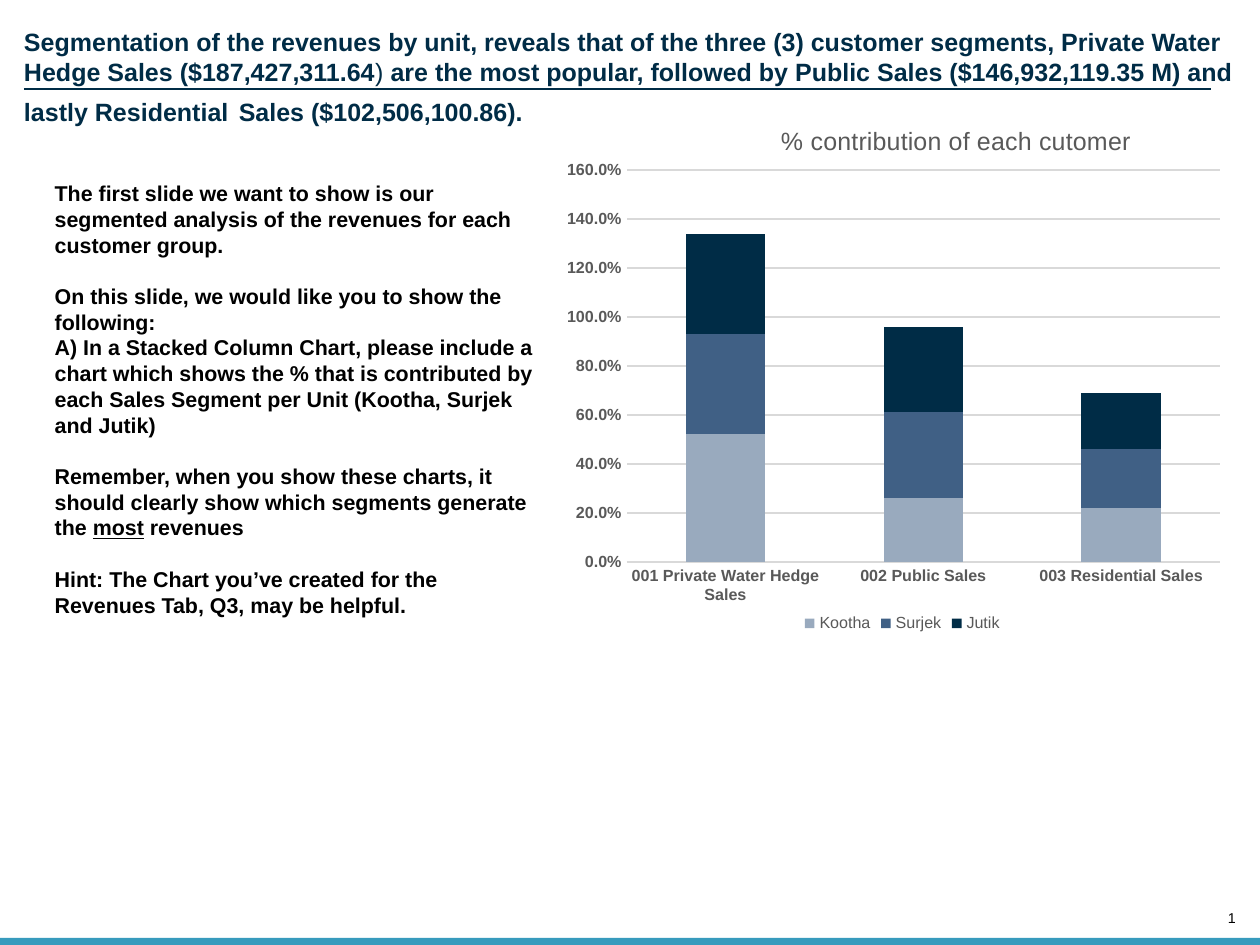
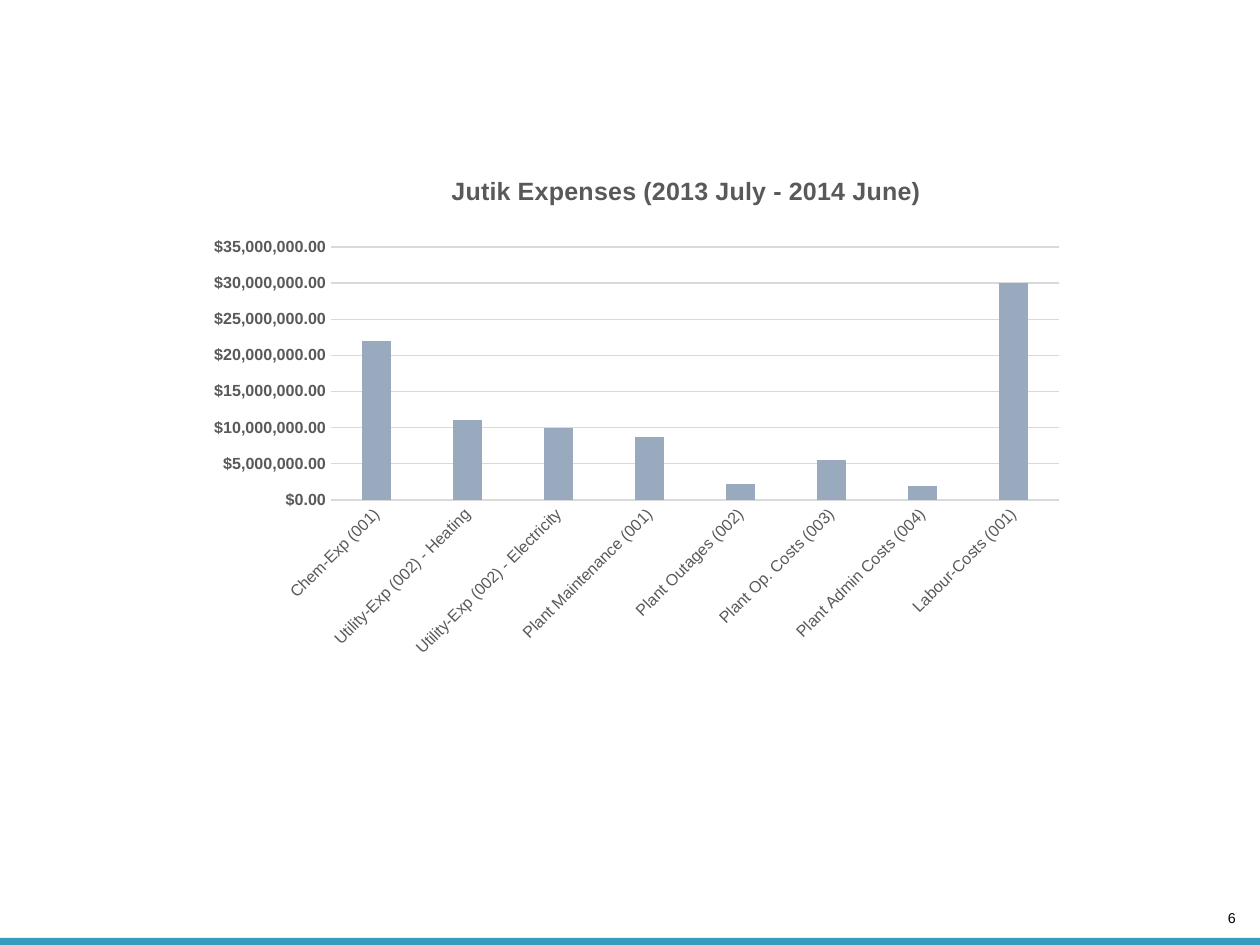
from dataclasses import dataclass
from lxml.etree import SubElement
from pptx import Presentation
from pptx.chart.data import CategoryChartData
from pptx.dml.color import RGBColor
from pptx.enum.chart import XL_CHART_TYPE, XL_LEGEND_POSITION, XL_TICK_MARK
from pptx.enum.shapes import MSO_CONNECTOR, MSO_SHAPE
from pptx.enum.text import MSO_ANCHOR, MSO_AUTO_SIZE, PP_ALIGN
from pptx.oxml.ns import qn
from pptx.util import Pt

PX = 7112
WIDTH, HEIGHT = 1260, 945
MILLION = 1000000


@dataclass(frozen=True)
class Theme:
    font: str = "Arial"
    navy: str = "002C46"
    steel: str = "406085"
    mist: str = "99AABE"
    band: str = "379BBD"
    ink: str = "000000"
    label: str = "595959"
    grid: str = "D9D9D9"
    heading: int = 14
    gap: int = 20
    body: int = 12
    axis: int = 9
    number: int = 8
    para_gap: float = 14.4


def rgb(color):
    return RGBColor.from_string(color)


def px(*lengths):
    return [n * PX for n in lengths]


def style(font, name, size, color, bold=False, underline=None):
    font.name, font.size, font.bold = name, Pt(size), bold
    font.color.rgb = rgb(color)
    if underline:
        font.underline = True


def add_run(p, text, **fmt):
    r = p.add_run()
    r.text = text
    style(r.font, **fmt)


def set_layout(parent, index, place, size, inner=False):
    old = parent.find(qn("c:layout"))
    if old is not None:
        parent.remove(old)
    layout = parent.makeelement(qn("c:layout"))
    parent.insert(index, layout)
    manual = SubElement(layout, qn("c:manualLayout"))
    if inner:
        SubElement(manual, qn("c:layoutTarget")).set("val", "inner")
    for key in "xy":
        SubElement(manual, qn(f"c:{key}Mode")).set("val", "edge")
    for key, length, whole in zip("xywh", place, size * 2):
        SubElement(manual, qn(f"c:{key}")).set("val", str(length / whole))


class Deck:
    def __init__(self, theme):
        self.t = theme
        self.prs = Presentation()
        self.prs.slide_width, self.prs.slide_height = px(WIDTH, HEIGHT)

    def slide(self, number, titled=False):
        layout = "Title Only" if titled else "Blank"
        self.s = self.prs.slides.add_slide(self.prs.slide_layouts.get_by_name(layout))
        self.band(0, 938, WIDTH, HEIGHT - 938)
        self.number(number, 1219, 909, 17, 17)

    def frame(self, sp, inset=True, anchor=MSO_ANCHOR.TOP, wrap=True):
        tf = sp.text_frame
        tf.auto_size = MSO_AUTO_SIZE.NONE
        tf.word_wrap, tf.vertical_anchor = wrap, anchor
        if not inset:
            tf.margin_left = tf.margin_right = tf.margin_top = tf.margin_bottom = 0
        return tf

    def band(self, *box):
        sp = self.s.shapes.add_shape(MSO_SHAPE.RECTANGLE, *px(*box))
        sp.shadow.inherit = False
        sp.fill.solid()
        sp.fill.fore_color.rgb = rgb(self.t.band)
        sp.line.fill.background()

    def number(self, text, *box):
        sp = self.s.shapes.add_textbox(*px(*box))
        p = self.frame(sp, False, MSO_ANCHOR.BOTTOM, False).paragraphs[0]
        p.alignment = PP_ALIGN.RIGHT
        add_run(p, text, name=self.t.font, size=self.t.number, color=self.t.ink)

    def title(self, runs, *box):
        sp = self.s.shapes.title
        sp.left, sp.top, sp.width, sp.height = px(*box)
        p = self.frame(sp, False).paragraphs[0]
        p.alignment = PP_ALIGN.LEFT
        for text, bold, size in runs:
            add_run(p, text, name=self.t.font, size=size, color=self.t.navy, bold=bold)

    def rule(self, x1, y1, x2, y2):
        line = self.s.shapes.add_connector(MSO_CONNECTOR.STRAIGHT, *px(x1, y1, x2, y2))
        line.line.color.rgb = rgb(self.t.navy)
        line.line.width = Pt(0.75)
        SubElement(line._element.spPr, qn("a:effectLst"))

    def notes(self, paragraphs, *box):
        tf = self.frame(self.s.shapes.add_textbox(*px(*box)))
        for i, (before, runs) in enumerate(paragraphs):
            p = tf.add_paragraph() if i else tf.paragraphs[0]
            p.space_before = Pt(before)
            for text, underline in runs:
                add_run(p, text, name=self.t.font, size=self.t.body, color=self.t.ink,
                        bold=True, underline=underline)

    def axis(self, axis, bold):
        axis.major_tick_mark = axis.minor_tick_mark = XL_TICK_MARK.NONE
        style(axis.tick_labels.font, self.t.font, self.t.axis, self.t.label, bold)

    def hairline(self, line):
        line.color.rgb = rgb(self.t.grid)
        line.width = Pt(0.75)

    def chart(self, kind, box, cats, series, title, title_at, plot_at, top, step, fmt,
              gap, overlap, bold_title=False, bold_cats=False, legend=False, turn=0):
        data = CategoryChartData()
        data.categories = cats
        for name, values, _ in series:
            data.add_series(name, values)
        chart = self.s.shapes.add_chart(kind, *px(*box), data).chart
        style(chart.font, self.t.font, 10, self.t.ink)

        chart.has_title = True
        p = chart.chart_title.text_frame.paragraphs[0]
        add_run(p, title, name=self.t.font, size=self.t.heading, color=self.t.label, bold=bold_title)
        set_layout(chart.chart_title._element, 1, title_at, box[2:])
        set_layout(chart._chartSpace.chart.plotArea, 0, plot_at, box[2:], inner=True)

        chart.has_legend = legend
        if legend:
            chart.legend.position = XL_LEGEND_POSITION.BOTTOM
            chart.legend.include_in_layout = False
            style(chart.legend.font, self.t.font, self.t.axis, self.t.label)

        cat, val = chart.category_axis, chart.value_axis
        self.axis(cat, bold_cats)
        self.axis(val, True)
        self.hairline(cat.format.line)
        self.hairline(val.major_gridlines.format.line)
        val.format.line.fill.background()
        val.minimum_scale, val.maximum_scale, val.major_unit = 0, top, step
        val.tick_labels.number_format = fmt
        val.tick_labels.number_format_is_linked = False
        if turn:
            body = cat._element.find(qn("c:txPr")).find(qn("a:bodyPr"))
            body.set("rot", str(turn * 60000))
            body.set("vert", "horz")

        plot = chart.plots[0]
        plot.gap_width, plot.overlap, plot.vary_by_categories = gap, overlap, False
        for ser, (_, _, color) in zip(plot.series, series):
            ser.format.fill.solid()
            ser.format.fill.fore_color.rgb = rgb(color)
            ser.invert_if_negative = False


t = Theme()
deck = Deck(t)

deck.slide("1", titled=True)
deck.title([
    ("Segmentation of the revenues by unit, reveals that of the three (3) customer segments, "
     "Private Water Hedge\u00a0Sales ($187,427,311.64", True, t.heading),
    (")", False, t.heading),
    (" are the most popular, followed by Public Sales ($146,932,119.35 M) and lastly Residential",
     True, t.heading),
    (" ", True, t.gap),
    ("Sales ($102,506,100.86).", True, t.heading),
], 24, 26, 1229, 104)
deck.rule(24, 89, 1211, 89)
deck.notes([
    (0, [("The first slide we want to show is our segmented analysis of the revenues "
          "for each customer group.", False)]),
    (t.para_gap, [("On this slide, we would like you to show the following:", False)]),
    (0, [("A) In a Stacked Column Chart, please include a chart which shows the % that is "
          "contributed by each Sales Segment per Unit (Kootha, Surjek and Jutik)", False)]),
    (t.para_gap, [("Remember, when you show these charts, it should clearly show which segments "
                   "generate the ", False), ("most", True), (" revenues", False)]),
    (t.para_gap, [("Hint: The Chart you\u2019ve created for the Revenues Tab, Q3, may be helpful.",
                   False)]),
], 42, 174, 510, 481)
deck.chart(
    XL_CHART_TYPE.COLUMN_STACKED, (567, 117, 670, 521),
    ["001 Private Water Hedge Sales", "002 Public Sales", "003 Residential Sales"],
    [("Kootha", (0.52, 0.26, 0.22), t.mist),
     ("Surjek", (0.41, 0.35, 0.24), t.steel),
     ("Jutik", (0.41, 0.35, 0.23), t.navy)],
    "% contribution of each cutomer", (209, 3), (59, 53, 594, 392),
    top=1.6, step=0.2, fmt="0.0%", gap=150, overlap=100, bold_cats=True, legend=True)

deck.slide("6")
deck.chart(
    XL_CHART_TYPE.COLUMN_CLUSTERED, (168, 156, 948, 532),
    ["Chem-Exp (001)", "Utility-Exp (002) - Heating", "Utility-Exp (002) - Electricity",
     "Plant Maintenance (001)", "Plant Outages (002)", "Plant Op. Costs (003)",
     "Plant Admin Costs (004)", "Labour-Costs (001)"],
    [("Series 1", [round(n * MILLION) for n in (22, 11, 10, 8.7, 2.2, 5.5, 1.9, 30)], t.mist)],
    "Jutik Expenses (2013 July - 2014 June)", (279, 14), (163, 91, 728, 253),
    top=35 * MILLION, step=5 * MILLION, fmt='"$"#,##0.00;[Red]\\-"$"#,##0.00',
    gap=219, overlap=-27, bold_title=True, turn=-45)

deck.prs.save("out.pptx")
